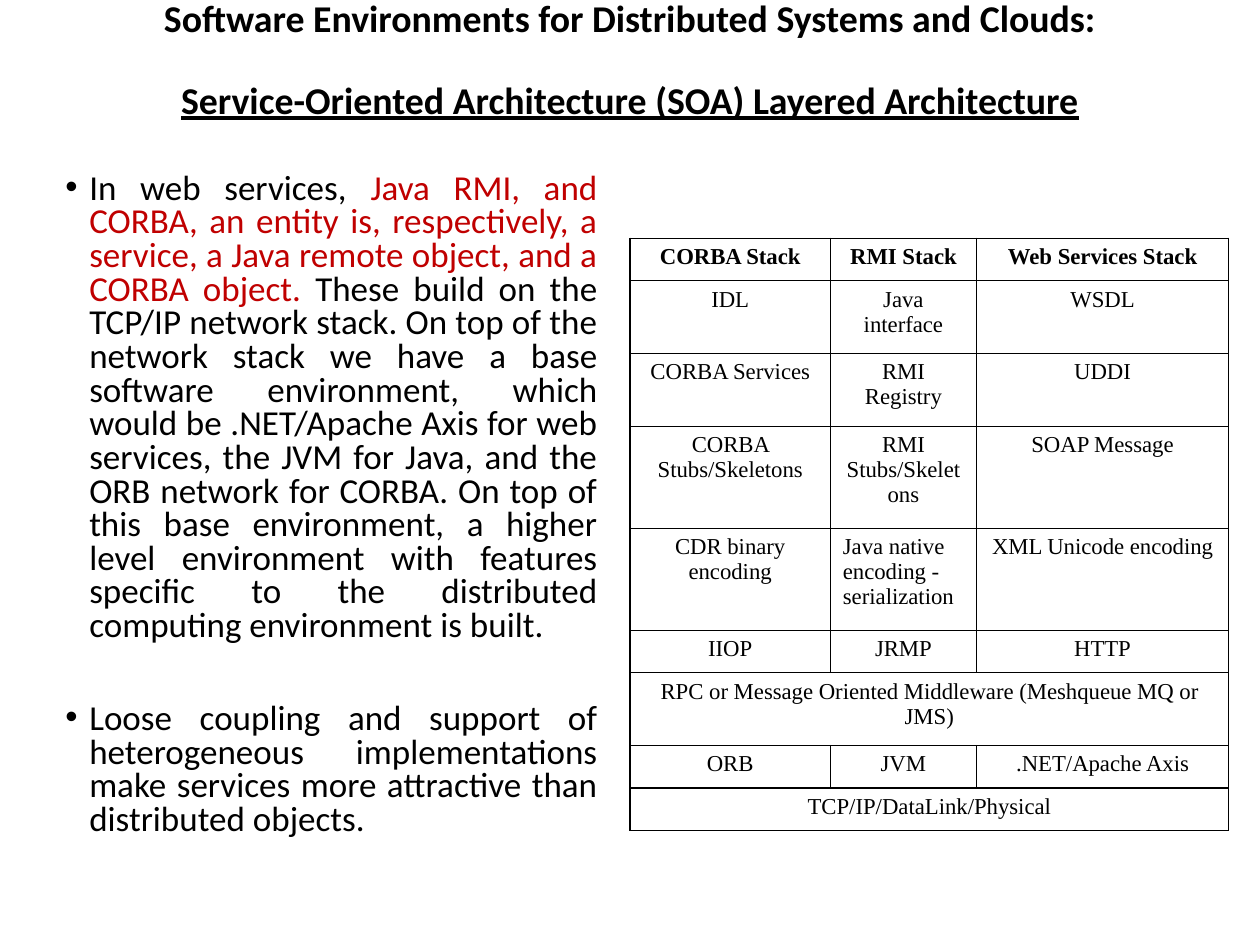
from dataclasses import dataclass

from lxml.etree import SubElement
from pptx import Presentation
from pptx.dml.color import RGBColor as RGB
from pptx.enum.text import MSO_ANCHOR as Anchor, PP_ALIGN as Align
from pptx.oxml import parse_xml
from pptx.oxml.ns import nsdecls, qn
from pptx.util import Inches, Pt


@dataclass(frozen=True)
class Theme:
    ink: RGB = RGB(0, 0, 0)
    accent: RGB = RGB(0xC0, 0, 0)
    paper: RGB = RGB(255, 255, 255)
    text_font: str = "Calibri"
    table_font: str = "Times New Roman"
    title_size: float = 21.6
    body_size: float = 20
    table_size: float = 13
    rule_width: float = 0.75


theme = Theme()
deck = Presentation()
deck.slide_width, deck.slide_height = Inches(10), Inches(7.5)
W, H = deck.slide_width, deck.slide_height
slide = deck.slides.add_slide(deck.slide_layouts[6])


def add_run(paragraph, text, size, color=theme.ink, font=theme.text_font, bold=False):
    run = paragraph.add_run()
    run.text = text
    run.font.size, run.font.name, run.font.bold = Pt(size), font, bold
    run.font.color.rgb = color
    return run


def add_frame(left, top, width, height):
    """Add a wrapping text frame placed by shares of the slide's size."""
    box = slide.shapes.add_textbox(int(W * left), int(H * top), int(W * width), int(H * height))
    box.text_frame.word_wrap = True
    box.text_frame.vertical_anchor = Anchor.TOP
    return box.text_frame


# Title
title = add_frame(0.069, 0, 0.862, 0.177)
title.margin_top = 0
topic = title.paragraphs[0]
subtopic = title.add_paragraph()
subtopic.space_before = Pt(23.5)
for line in (topic, subtopic):
    line.alignment, line.line_spacing = Align.CENTER, 0.9
add_run(topic, "Software Environments for Distributed Systems and Clouds:",
        theme.title_size, bold=True)
add_run(subtopic, "Service-Oriented Architecture (SOA) Layered Architecture",
        theme.title_size, bold=True).font.underline = True

# Bulleted explanation
points = [
    [("In web services, ", theme.ink),
     ("Java RMI, and CORBA, an entity is, respectively, a service, a Java remote "
      "object, and a CORBA object. ", theme.accent),
     ("These build on the TCP/IP network stack. On top of the network stack we have "
      "a base software environment, which would be .NET/Apache Axis for web services, "
      "the JVM for Java, and the ORB network for CORBA. On top of this base "
      "environment, a higher level environment with features specific to the "
      "distributed computing environment is built.", theme.ink)],
    [("Loose coupling and support of heterogeneous implementations make services "
      "more attractive than distributed objects.", theme.ink)],
]
body = add_frame(0.042, 0.177, 0.442, 0.8)
for number, point in enumerate(points):
    bullet = body.add_paragraph() if number else body.paragraphs[0]
    props = bullet._p.get_or_add_pPr()
    props.set("marL", str(Inches(0.19)))
    props.set("indent", str(-Inches(0.19)))
    SubElement(props, qn("a:buFont")).set("typeface", "Arial")
    SubElement(props, qn("a:buChar")).set("char", "•")
    bullet.alignment, bullet.line_spacing = Align.JUSTIFY, 0.8
    if number:
        bullet.space_before = Pt(34)
    for text, color in point:
        add_run(bullet, text, theme.body_size, color)

# Protocol stacks: row height as a share of the slide, then the layer in each stack
layers = [
    (0.045, ["CORBA Stack", "RMI Stack", "Web Services Stack"]),
    (0.077, ["IDL", "Java interface", "WSDL"]),
    (0.077, ["CORBA Services", "RMI Registry", "UDDI"]),
    (0.108, ["CORBA Stubs/Skeletons", "RMI Stubs/Skeletons", "SOAP Message"]),
    (0.108, ["CDR binary encoding", "Java native encoding - serialization",
             "XML Unicode encoding"]),
    (0.045, ["IIOP", "JRMP", "HTTP"]),
    (0.077, ["RPC or Message Oriented Middleware (Meshqueue MQ or JMS)"]),
    (0.045, ["ORB", "JVM", ".NET/Apache Axis"]),
    (0.045, ["TCP/IP/DataLink/Physical"]),
]
column_shares = [0.159, 0.116, 0.2]
left_aligned = {"Java native encoding - serialization"}

stacks = slide.shapes.add_table(
    len(layers), len(column_shares), int(W * 0.5), int(H * 0.252),
    int(W * sum(column_shares)), int(H * sum(share for share, _ in layers))).table
stacks.first_row = stacks.horz_banding = False
for column, share in zip(stacks.columns, column_shares):
    column.width = int(W * share)

for r, (share, labels) in enumerate(layers):
    stacks.rows[r].height = int(H * share)
    if len(labels) == 1:
        stacks.cell(r, 0).merge(stacks.cell(r, len(column_shares) - 1))
    for c in range(len(column_shares)):
        cell = stacks.cell(r, c)
        cell.fill.solid()
        cell.fill.fore_color.rgb = theme.paper
        for position, side in enumerate(("lnL", "lnR", "lnT", "lnB")):
            cell._tc.get_or_add_tcPr().insert(position, parse_xml(
                f'<a:{side} {nsdecls("a")} w="{Pt(theme.rule_width)}"><a:solidFill>'
                f'<a:srgbClr val="{theme.ink}"/></a:solidFill></a:{side}>'))
        if c < len(labels):
            layer = cell.text_frame.paragraphs[0]
            layer.alignment = Align.LEFT if labels[c] in left_aligned else Align.CENTER
            add_run(layer, labels[c], theme.table_size, font=theme.table_font, bold=r == 0)

deck.save("out.pptx")
